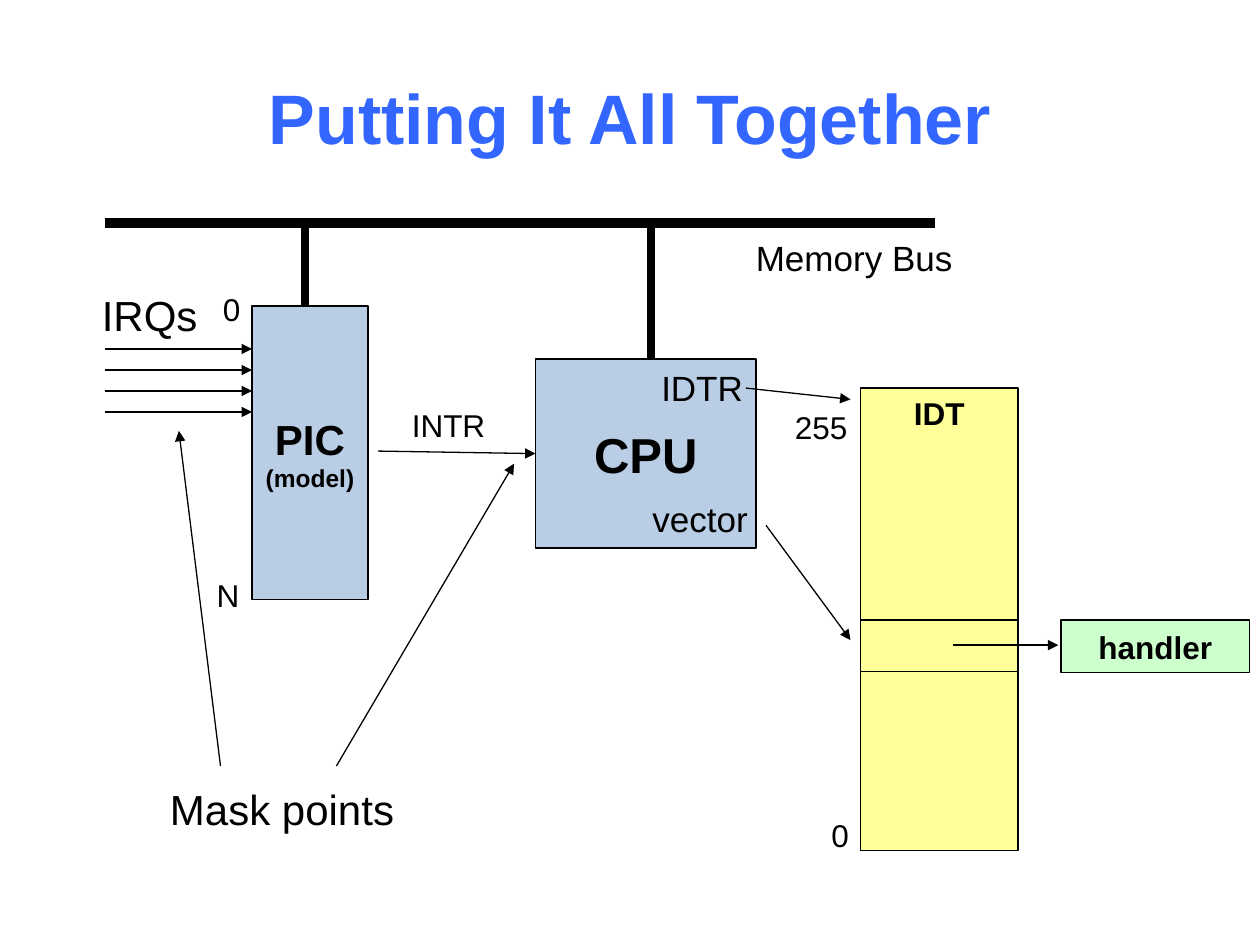
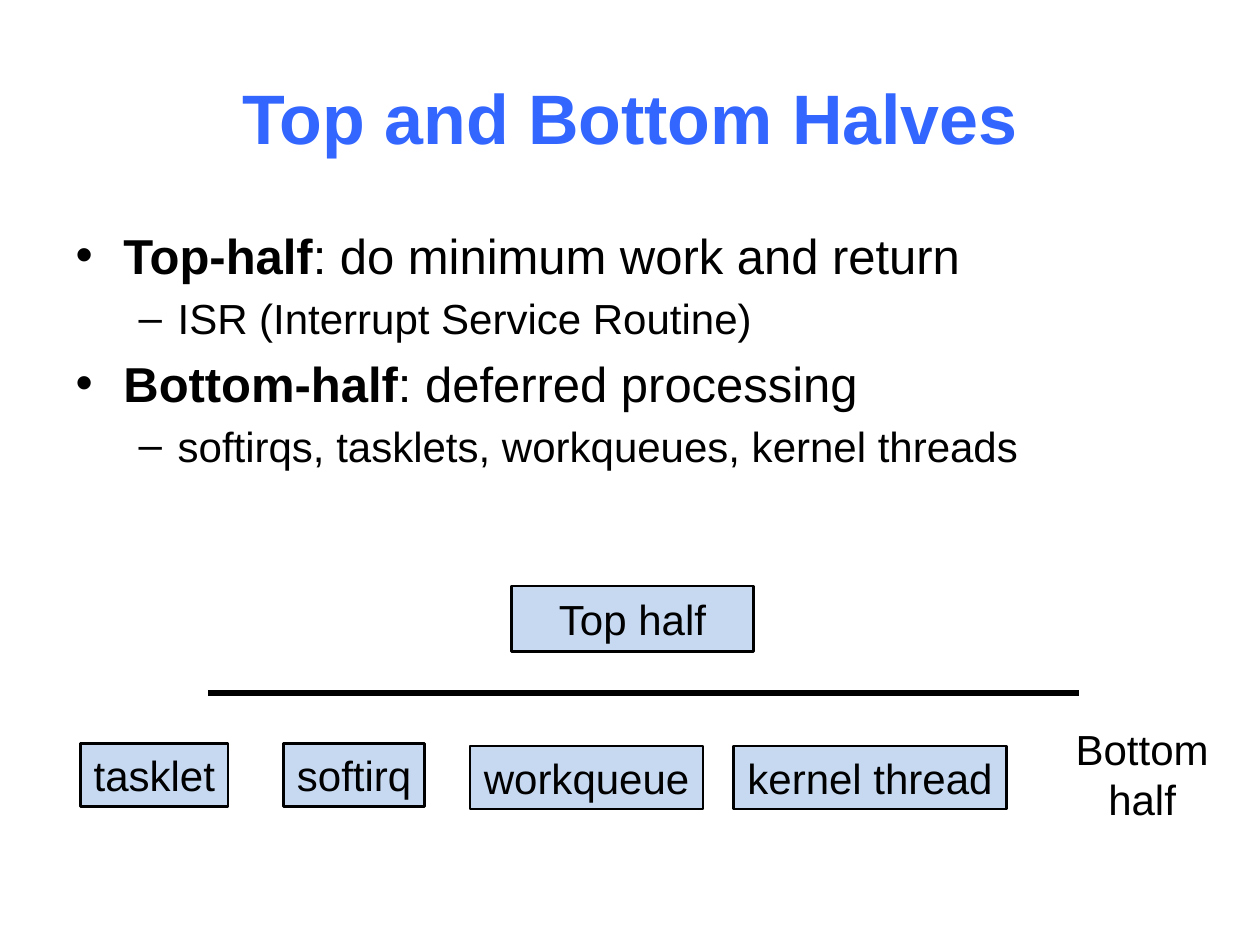
from dataclasses import dataclass

from lxml.etree import SubElement
from pptx import Presentation
from pptx.dml.color import RGBColor
from pptx.enum.shapes import MSO_CONNECTOR, MSO_SHAPE
from pptx.enum.text import MSO_ANCHOR as Anchor, MSO_AUTO_SIZE as AutoSize, PP_ALIGN as Align
from pptx.oxml.ns import qn
from pptx.util import Inches, Pt

TITLE_BLUE = RGBColor(0x33, 0x66, 0xFF)
CHIP_BLUE = RGBColor(0xB9, 0xCD, 0xE5)
HALF_BLUE = RGBColor(0xC6, 0xD9, 0xF1)
TABLE_YELLOW = RGBColor(0xFF, 0xFF, 0x99)
HANDLER_GREEN = RGBColor(0xCC, 0xFF, 0xCC)
BLACK = RGBColor(0, 0, 0)
FONT = "Arial"
TITLE_ONLY, TITLE_AND_CONTENT = 5, 1


@dataclass
class Box:
    """A rectangle in inches."""
    left: float
    top: float
    width: float
    height: float

    @property
    def right(self):
        return self.left + self.width

    @property
    def bottom(self):
        return self.top + self.height

    def inner(self, left, top, width, height):
        return Box(self.left + left, self.top + top, width, height)

    def point(self, across, down):
        return self.left + across, self.top + down

    def lengths(self):
        return [Inches(n) for n in (self.left, self.top, self.width, self.height)]


def set_font(font, size, bold=False, color=BLACK):
    font.name, font.size, font.bold = FONT, Pt(size), bold
    font.color.rgb = color


def fill_text(shape, lines, bold=False, align=Align.CENTER, anchor=Anchor.MIDDLE, wrap=False):
    """Write (text, size) lines, one paragraph each."""
    frame = shape.text_frame
    frame.word_wrap = wrap
    frame.vertical_anchor = anchor
    frame.text = "\n".join(text for text, _ in lines)
    for para, (_, size) in zip(frame.paragraphs, lines):
        para.alignment = align
        set_font(para.font, size, bold)


def add_block(page, box, fill, lines, line_width=0.75, **text_style):
    block = page.shapes.add_shape(MSO_SHAPE.RECTANGLE, *box.lengths())
    block.shadow.inherit = False
    block.fill.solid()
    block.fill.fore_color.rgb = fill
    block.line.color.rgb = BLACK
    block.line.width = Pt(line_width)
    fill_text(block, lines, **text_style)


def add_label(page, box, text, size, align=Align.LEFT, wrap=False):
    label = page.shapes.add_textbox(*box.lengths())
    fill_text(label, [(text, size)], align=align, anchor=Anchor.TOP, wrap=wrap)


def add_line(page, start, end, width=0.75, arrow=False):
    ends = [Inches(n) for n in (*start, *end)]
    line = page.shapes.add_connector(MSO_CONNECTOR.STRAIGHT, *ends)
    line.line.color.rgb = BLACK
    line.line.width = Pt(width)
    props = line._element.spPr
    if arrow:
        SubElement(props.find(qn("a:ln")), qn("a:tailEnd"), type="triangle")
    SubElement(props, qn("a:effectLst"))


def add_page(deck, layout, title):
    page = deck.slides.add_slide(deck.slide_layouts[layout])
    shape = page.shapes.title
    shape.left, shape.top, shape.width, shape.height = Box(0.5, 0.3, 9, 1.25).lengths()
    frame = shape.text_frame
    frame.text = title
    frame.auto_size = AutoSize.NONE
    frame.vertical_anchor = Anchor.MIDDLE
    frame.paragraphs[0].alignment = Align.CENTER
    set_font(frame.paragraphs[0].font, 40, True, TITLE_BLUE)
    return page


def draw_memory_bus(page, box, drops):
    """Draw the bus along the top of the box; drops are (x, bottom) of each device link."""
    add_line(page, (box.left, box.top), (box.right, box.top), 6)
    for across, bottom in drops:
        add_line(page, (across, bottom), (across, box.top), 4.5)
    add_label(page, box.inner(5.07, 0.06, 1.76, 0.43), "Memory Bus", 20)


def draw_pic(page, box):
    """Draw the interrupt controller with its request lines on the left."""
    add_block(page, box, CHIP_BLUE, [("PIC", 24), ("(model)", 14)], bold=True)
    add_label(page, box.inner(-1.29, -0.18, 0.96, 0.5), "IRQs", 24)
    add_label(page, box.inner(-0.33, -0.18, 0.34, 0.4), "0", 18)
    add_label(page, box.inner(-0.38, 2.09, 0.38, 0.4), "N", 18)
    for row in range(4):
        down = 0.34 + row / 6
        add_line(page, box.point(-1.17, down), box.point(0, down), arrow=True)


def draw_cpu(page, box):
    """Draw the processor with its incoming INTR and its two table links."""
    add_block(page, box, CHIP_BLUE, [("CPU", 28)], bold=True)
    add_label(page, box.inner(-1.08, 0.32, 0.78, 0.4), "INTR", 18)
    add_label(page, box.inner(0.9, 0.01, 0.86, 0.44), "IDTR", 20)
    add_label(page, box.inner(0.83, 1.05, 0.96, 0.43), "vector", 20)
    for start, end in [((-1.25, 0.73), (0, 0.75)),
                       ((1.67, 0.23), (2.5, 0.32)),
                       ((1.83, 1.32), (2.5, 2.23))]:
        add_line(page, box.point(*start), box.point(*end), arrow=True)


def draw_idt(page, box):
    """Draw the descriptor table and the handler that one entry leads to."""
    add_block(page, box, TABLE_YELLOW, [("IDT", 18)], bold=True, anchor=Anchor.TOP)
    add_label(page, box.inner(-0.62, 0.11, 0.62, 0.4), "255", 18)
    add_label(page, box.inner(-0.33, 3.35, 0.34, 0.4), "0", 18)
    entry = box.inner(0, 1.84, box.width, 0.41)
    for edge in (entry.top, entry.bottom):
        add_line(page, (entry.left, edge), (entry.right, edge))
    add_block(page, entry.inner(1.59, 0, 1.5, 0.42), HANDLER_GREEN, [("handler", 18)], bold=True)
    add_line(page, entry.point(0.73, 0.2), entry.point(1.57, 0.2), arrow=True)


def draw_mask_points(page, box):
    add_label(page, box, "Mask points", 24)
    for start, end in [((0.5, -0.09), (0.17, -2.75)), ((1.42, -0.09), (2.83, -2.49))]:
        add_line(page, box.point(*start), box.point(*end), arrow=True)


def add_bullets(page, box, items):
    """Fill the body with (level, bold lead, rest) items."""
    body = page.placeholders[1]
    body.left, body.top, body.width, body.height = box.lengths()
    frame = body.text_frame
    frame.auto_size = AutoSize.NONE
    levels = [("•", 28, 0.38, 0.38), ("–", 24, 0.81, 0.31)]
    for index, (level, lead, rest) in enumerate(items):
        para = frame.add_paragraph() if index else frame.paragraphs[0]
        mark, size, indent, hang = levels[level]
        para.level = level
        para.space_before = Pt(0.2 * size if index else 0)
        props = para._p.get_or_add_pPr()
        props.set("marL", str(Inches(indent)))
        props.set("indent", str(-Inches(hang)))
        SubElement(props, qn("a:buChar"), char=mark)
        set_font(para.font, size)
        if lead:
            span = para.add_run()
            span.text = lead
            span.font.bold = True
        para.add_run().text = rest


def draw_halves(page, box):
    """Draw the top half above a divider and the bottom-half mechanisms below it."""
    style = {"fill": HALF_BLUE, "line_width": 1.5}
    add_block(page, box.inner(3.42, 0, 1.92, 0.52), lines=[("Top half", 24)], **style)
    add_line(page, box.point(1.01, 0.85), box.point(7.92, 0.85), 3)
    for name, left, top, width in [("tasklet", 0, 1.25, 1.17), ("softirq", 1.61, 1.25, 1.12),
                                   ("workqueue", 3.09, 1.27, 1.85),
                                   ("kernel thread", 5.18, 1.27, 2.17)]:
        add_block(page, box.inner(left, top, width, 0.5), lines=[(name, 24)], **style)
    add_label(page, box.inner(7.76, 1.04, 1.33, 0.91), "Bottom half", 24, Align.CENTER, True)


def build_interrupt_page(deck):
    page = add_page(deck, TITLE_ONLY, "Putting It All Together")
    pic = Box(2, 2.43, 0.92, 2.33)
    cpu = Box(4.25, 2.85, 1.75, 1.5)
    draw_memory_bus(page, Box(0.83, 1.77, 6.59, 0.5), [(2.42, pic.top), (5.17, cpu.top)])
    draw_pic(page, pic)
    draw_cpu(page, cpu)
    draw_idt(page, Box(6.83, 3.08, 1.25, 3.67))
    draw_mask_points(page, Box(1.25, 6.17, 1.98, 0.5))


def build_halves_page(deck):
    page = add_page(deck, TITLE_AND_CONTENT, "Top and Bottom Halves")
    add_bullets(page, Box(0.5, 1.74, 9, 4.67), [
        (0, "Top-half", ": do minimum work and return"),
        (1, "", "ISR (Interrupt Service Routine)"),
        (0, "Bottom-half", ": deferred processing"),
        (1, "", "softirqs, tasklets, workqueues, kernel threads"),
    ])
    draw_halves(page, Box(0.64, 4.65, 9.09, 1.95))


def main():
    deck = Presentation()
    deck.slide_width, deck.slide_height = Inches(10), Inches(7.5)
    build_interrupt_page(deck)
    build_halves_page(deck)
    deck.save("out.pptx")


if __name__ == "__main__":
    main()
